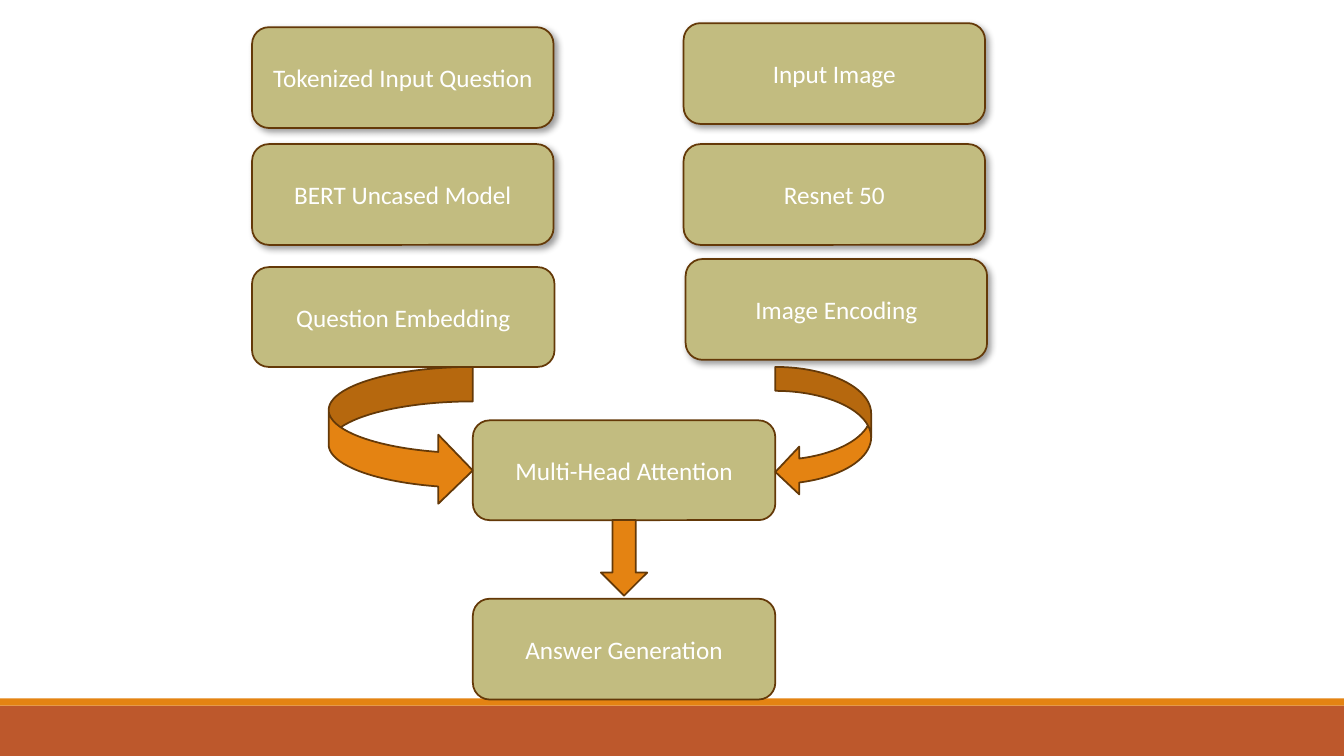
from dataclasses import dataclass

from lxml.etree import SubElement
from pptx import Presentation
from pptx.dml.color import RGBColor
from pptx.enum.shapes import MSO_SHAPE as Geo
from pptx.enum.text import MSO_ANCHOR, PP_ALIGN
from pptx.oxml.ns import qn
from pptx.util import Inches, Pt

COLORS = {
    "footer": "BD582C",
    "accent": "E48312",
    "box": "C2BC80",
    "outline": "643908",
    "text": "FFFFFF",
    "shadow": "000000",
}
LEFT_X, RIGHT_X, MIDDLE_X = 2.5, 6.78, 4.69
BOX_W, BOX_H = 3, 1


@dataclass
class Box:
    text: str
    left: float
    top: float
    width: float = BOX_W
    height: float = BOX_H
    shadow: bool = False


@dataclass
class Block:
    geometry: Geo
    left: float
    top: float
    width: float
    height: float
    color: str = "accent"
    outlined: bool = True


BARS = [
    Block(Geo.RECTANGLE, 0, 7, 13.33, 0.5, "footer", False),
    Block(Geo.RECTANGLE, 0, 6.93, 13.33, 0.07, "accent", False),
]
BOXES = [
    Box("Tokenized Input Question", LEFT_X, 0.27, 2.99, shadow=True),
    Box("BERT Uncased Model", LEFT_X, 1.43, 2.99, shadow=True),
    Box("Question Embedding", LEFT_X, 2.65, height=0.99),
    Box("Input Image", RIGHT_X, 0.23, 2.99, shadow=True),
    Box("Resnet 50", RIGHT_X, 1.43, 2.99, shadow=True),
    Box("Image Encoding", 6.8, 2.57, 2.99, shadow=True),
    Box("Multi-Head Attention", MIDDLE_X, 4.17, height=0.99),
    Box("Answer Generation", MIDDLE_X, 5.94),
]
ARROWS = [
    Block(Geo.DOWN_ARROW, 5.96, 5.16, 0.46, 0.75),
    Block(Geo.CURVED_RIGHT_ARROW, 3.26, 3.64, 1.43, 1.37),
    Block(Geo.CURVED_LEFT_ARROW, 7.69, 3.64, 0.95, 1.28),
]


def rgb(name: str) -> RGBColor:
    return RGBColor.from_string(COLORS[name])


def draw_block(slide, block: Block):
    """Add a filled preset shape, outlined if asked."""
    sp = slide.shapes.add_shape(
        block.geometry, Inches(block.left), Inches(block.top),
        Inches(block.width), Inches(block.height))
    sp.shadow.inherit = False
    sp.fill.solid()
    sp.fill.fore_color.rgb = rgb(block.color)
    if block.outlined:
        sp.line.color.rgb = rgb("outline")
        sp.line.width = Pt(1.25)
    else:
        sp.line.fill.background()
    return sp


def add_shadow(sp) -> None:
    """Cast a soft shadow down and to the right."""
    effects = sp._element.spPr.find(qn("a:effectLst"))
    outer = SubElement(
        effects, qn("a:outerShdw"), blurRad=str(Pt(5)), dist=str(Pt(3)),
        dir=str(45 * 60000), algn="tl", rotWithShape="0")
    color = SubElement(outer, qn("a:srgbClr"), val=COLORS["shadow"])
    SubElement(color, qn("a:alpha"), val="40000")


def write_text(sp, text: str, *, size: float = 18, font: str = "Calibri",
               color: str = "text", align=PP_ALIGN.CENTER) -> None:
    tf = sp.text_frame
    tf.word_wrap = True
    tf.vertical_anchor = MSO_ANCHOR.MIDDLE
    p = tf.paragraphs[0]
    p.alignment = align
    r = p.add_run()
    r.text = text
    r.font.size = Pt(size)
    r.font.name = font
    r.font.color.rgb = rgb(color)


def draw_box(slide, box: Box) -> None:
    sp = draw_block(slide, Block(Geo.ROUNDED_RECTANGLE, box.left, box.top,
                                 box.width, box.height, "box"))
    if box.shadow:
        add_shadow(sp)
    write_text(sp, box.text)


def main() -> None:
    prs = Presentation()
    prs.slide_width, prs.slide_height = Inches(13.33), Inches(7.5)
    slide = prs.slides.add_slide(prs.slide_layouts[6])

    # Footer bars
    for bar in BARS:
        draw_block(slide, bar)

    # Model stages
    for box in BOXES:
        draw_box(slide, box)

    # Flow arrows
    for arrow in ARROWS:
        draw_block(slide, arrow)

    prs.save("out.pptx")


if __name__ == "__main__":
    main()
